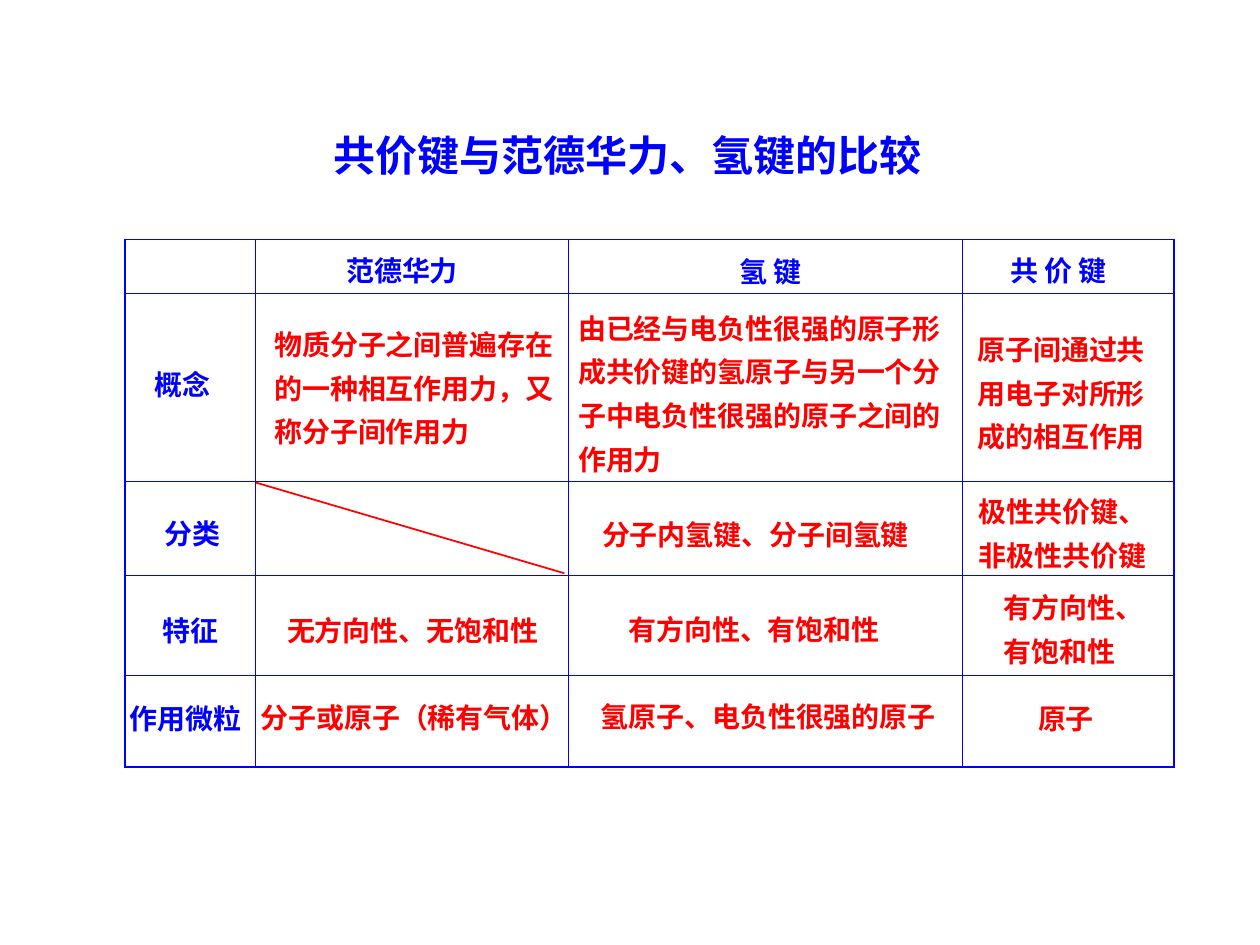
from lxml import etree
from pptx import Presentation
from pptx import util as u
from pptx.dml.color import RGBColor
from pptx.enum import shapes, text
from pptx.oxml.ns import qn

FONT = "Noto Sans CJK SC"
COLORS = {"heading": "0000FF", "body": "FF0000", "grid": "0000FF"}
COLUMNS = [1.04, 2.48, 3.13, 1.68]
ROWS = [0.43, 1.49, 0.75, 0.79, 0.73]
HEADINGS = [
    (2.65, 1.88, 1.61, 0.45, ["范德华力"]),
    (5.77, 1.89, 1.94, 0.45, ["氢 键"]),
    (7.92, 1.88, 1.94, 0.45, ["共 价 键"]),
    (1.13, 2.79, 1.61, 0.45, ["概念"]),
    (1.21, 3.97, 1.61, 0.45, ["分类"]),
    (1.19, 4.74, 1.61, 0.45, ["特征"]),
    (0.93, 5.44, 1.61, 0.45, ["作用微粒"]),
]
DETAILS = [
    (2.08, 2.47, 3.13, 1.14, ["物质分子之间普遍存在", "的一种相互作用力，又", "称分子间作用力"]),
    (4.49, 2.34, 3.13, 1.49,
     ["由已经与电负性很强的原子形成共价键的氢原子与另一个分子中电负性很强的原子之间的作用力"]),
    (7.66, 2.51, 1.96, 1.14, ["原子间通过共", "用电子对所形", "成的相互作用"]),
    (4.68, 3.98, 3.13, 0.45, ["分子内氢键、分子间氢键"]),
    (7.67, 3.8, 2.33, 0.8, ["极性共价键、", "非极性共价键"]),
    (2.18, 4.74, 3.13, 0.45, ["无方向性、无饱和性"]),
    (4.89, 4.73, 3.13, 0.45, ["有方向性、有饱和性"]),
    (7.87, 4.56, 2.04, 0.8, ["有方向性、", "有饱和性"]),
    (1.97, 5.43, 2.7, 0.45, ["分子或原子（稀有气体）"]),
    (4.67, 5.42, 3.59, 0.45, ["氢原子、电负性很强的原子"]),
    (8.14, 5.44, 1.22, 0.45, ["原子"]),
]


def style_paragraph(para, size, color):
    para.font.size = u.Pt(size)
    para.font.bold = True
    para.font.color.rgb = RGBColor.from_string(COLORS[color])
    para.font.name = FONT
    latin = para._p.pPr.find(qn("a:defRPr")).find(qn("a:latin"))
    east_asian = etree.Element(qn("a:ea"), typeface=FONT)
    latin.addnext(east_asian)


def place_title(page, left, top, width, height):
    box = page.shapes.title
    box.left, box.top = u.Inches(left), u.Inches(top)
    box.width, box.height = u.Inches(width), u.Inches(height)
    frame = box.text_frame
    frame.text = "共价键与范德华力、氢键的比较"
    frame.vertical_anchor = text.MSO_ANCHOR.TOP
    frame.auto_size = text.MSO_AUTO_SIZE.SHAPE_TO_FIT_TEXT
    para = frame.paragraphs[0]
    para.alignment = text.PP_ALIGN.CENTER
    style_paragraph(para, 24, "heading")


def set_borders(cell, outer_sides):
    properties = cell._tc.get_or_add_tcPr()
    for index, side in enumerate("LRTB"):
        width = 1.08 if side in outer_sides else 0.45
        line = etree.Element(qn(f"a:ln{side}"), w=str(int(u.Pt(width))))
        fill = etree.SubElement(line, qn("a:solidFill"))
        etree.SubElement(fill, qn("a:srgbClr"), val=COLORS["grid"])
        properties.insert(index, line)


def place_grid(page, left, top):
    frame = page.shapes.add_table(
        len(ROWS), len(COLUMNS), u.Inches(left), u.Inches(top),
        u.Inches(sum(COLUMNS)), u.Inches(sum(ROWS)))
    grid = frame.table
    grid.first_row = grid.horz_banding = False
    for column, width in zip(grid.columns, COLUMNS):
        column.width = u.Inches(width)
    for row, height in zip(grid.rows, ROWS):
        row.height = u.Inches(height)
    for r in range(len(ROWS)):
        for c in range(len(COLUMNS)):
            cell = grid.cell(r, c)
            cell.margin_top = cell.margin_bottom = 0
            cell.fill.background()
            edges = {"L": c == 0, "R": c == len(COLUMNS) - 1,
                     "T": r == 0, "B": r == len(ROWS) - 1}
            set_borders(cell, [side for side, outer in edges.items() if outer])


def place_text(page, left, top, width, height, lines, color):
    box = page.shapes.add_textbox(
        u.Inches(left), u.Inches(top), u.Inches(width), u.Inches(height))
    frame = box.text_frame
    frame.word_wrap = True
    frame.auto_size = text.MSO_AUTO_SIZE.SHAPE_TO_FIT_TEXT
    frame.text = "\n".join(lines)
    for para in frame.paragraphs:
        para.line_spacing = 1.3
        style_paragraph(para, 16, color)


def place_diagonal(page, left, top, width, height):
    line = page.shapes.add_connector(
        shapes.MSO_CONNECTOR.STRAIGHT, u.Inches(left), u.Inches(top),
        u.Inches(left + width), u.Inches(top + height))
    line.line.color.rgb = RGBColor.from_string(COLORS["body"])
    line.line.width = u.Pt(1)
    etree.SubElement(line._element.spPr, qn("a:effectLst"))


def main():
    deck = Presentation()
    deck.slide_width, deck.slide_height = u.Inches(10), u.Inches(7.5)
    page = deck.slides.add_slide(deck.slide_layouts[5])
    place_title(page, 2.47, 0.98, 5.02, 0.5)
    place_grid(page, 0.99, 1.9)
    for color, entries in (("heading", HEADINGS), ("body", DETAILS)):
        for entry in entries:
            place_text(page, *entry, color)
    place_diagonal(page, 2.03, 3.83, 2.45, 0.72)
    deck.save("out.pptx")


if __name__ == "__main__":
    main()
